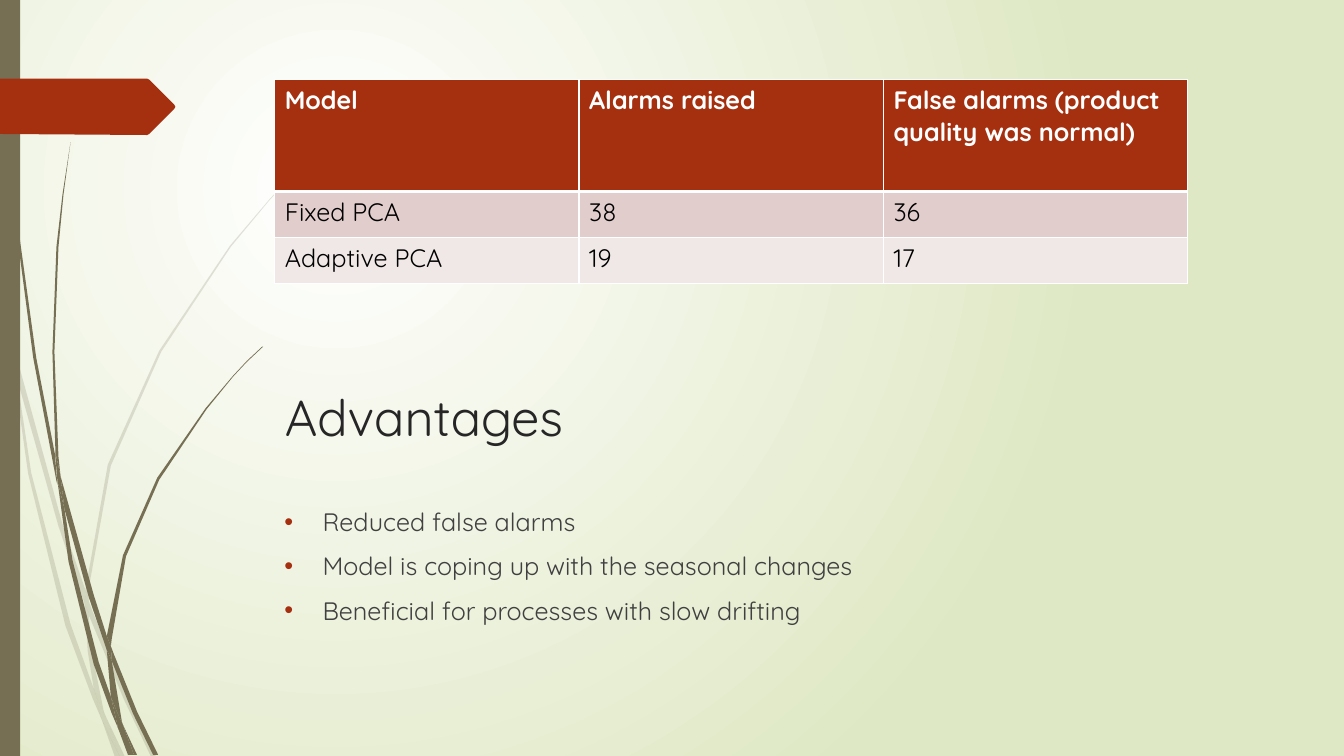
from typing import NamedTuple

from lxml import etree
from pptx import Presentation
from pptx.dml.color import RGBColor
from pptx.enum.shapes import MSO_SHAPE
from pptx.enum.text import MSO_ANCHOR, MSO_AUTO_SIZE, PP_ALIGN
from pptx.oxml.ns import qn
from pptx.util import Inches, Pt

RECT = MSO_SHAPE.RECTANGLE
TOP, LEFT, NO_FIT = MSO_ANCHOR.TOP, PP_ALIGN.LEFT, MSO_AUTO_SIZE.NONE

# Fine grid: one cell is a hundredth of an inch
COLS, ROWS = 1333.33, 750
CELL = Inches(1) // 100
FONT = "Quicksand"
COLORS = {
    "white": "FFFFFF", "black": "000000", "edge": "DFE8C4", "olive": "766F54",
    "rust": "A53010", "title": "262626", "body": "404040",
    "band1": "E1CDCC", "band2": "F0E8E7",
}


class Box(NamedTuple):
    """Position and size in grid columns and rows."""
    x: float
    y: float
    w: float
    h: float


class Outline(NamedTuple):
    """A closed polygon with corners in grid columns and rows."""
    fill: str
    opacity: int
    corners: list[tuple[float, float]]


TITLE_BOX = Box(272.5, 378, 975, 140)
BODY_BOX = Box(272, 497.5, 975, 413)
TABLE_BOX = Box(272.5, 79, 906, 202)
ROW_HEIGHTS = [111, 45.5, 45.5]
BAR_BOX = Box(0, 0, 20, ROWS)

TITLE = "Advantages"
BULLETS = [
    "Reduced false alarms",
    "Model is coping up with the seasonal changes",
    "Beneficial for processes with slow drifting",
]
ALARMS = [
    ["Model", "Alarms raised", "False alarms (product quality was normal)"],
    ["Fixed PCA", "38", "36"],
    ["Adaptive PCA", "19", "17"],
]
ROW_FILLS = ["rust", "band1", "band2"]

FAINT_GRASS = [
    [(11, 350), (9, 322), (0, 282), (0, 299), (10, 344)],
    [(58, 522), (84, 599), (85, 586), (62, 520), (14, 345), (17, 376)],
    [(92, 607), (88, 596), (88, 610), (123, 694), (150, 751), (155, 751), (127, 692)],
    [(119, 751), (124, 751), (105, 711)],
    [(93, 683), (70, 619), (31, 469), (17, 376), (11, 350), (28, 470), (65, 621),
     (92, 693), (101, 714), (99, 707)],
    [(84, 599), (87, 646), (93, 683), (96, 692), (105, 711), (103, 706), (91, 646),
     (88, 610), (88, 608)],
    [(88, 584), (110, 462), (160, 349), (229, 245), (268, 198), (290, 175),
     (312, 154), (312, 153), (289, 175), (268, 197), (228, 244), (158, 348),
     (107, 461), (85, 584), (85, 586), (88, 596)],
    [(101, 714), (114, 751), (119, 751)],
    [(88, 608), (88, 596), (85, 586), (84, 599)],
    [(96, 692), (93, 683), (99, 707), (101, 714), (119, 751), (105, 711)],
]
DARK_GRASS = [
    [(7, 110), (17, 233), (33, 355), (56, 477), (57, 481), (55, 457), (55, 453),
     (36, 355), (19, 232), (8, 109), (5, 48), (4, 0), (3, 0), (4, 48)],
    [(88, 592), (106, 645), (106, 631), (93, 590), (60, 472), (64, 505)],
    [(113, 649), (110, 641), (111, 656), (132, 708), (152, 749), (157, 749), (136, 706)],
    [(110, 691), (98, 657), (72, 556), (64, 505), (57, 477), (68, 557), (93, 659),
     (111, 708), (117, 722), (116, 717)],
    [(60, 472), (58, 453), (54, 349), (58, 245), (63, 193), (70, 141), (62, 193),
     (56, 245), (52, 349), (55, 449)],
    [(133, 749), (136, 749), (122, 719)],
    [(57, 477), (64, 505), (60, 472), (55, 449), (55, 453)],
    [(111, 633), (125, 552), (158, 476), (205, 406), (231, 374), (245, 359),
     (261, 344), (260, 344), (245, 358), (231, 373), (204, 405), (156, 474),
     (122, 551), (106, 631), (110, 641)],
    [(117, 722), (127, 749), (131, 749)],
    [(106, 645), (110, 691), (116, 706), (122, 719), (121, 716), (111, 656), (109, 651)],
    [(106, 645), (109, 651), (111, 656), (110, 641), (106, 631)],
    [(116, 706), (110, 691), (116, 717), (117, 722), (130, 749), (133, 749), (122, 719)],
]
ARROW = Outline("rust", 100, [(173, 108), (148, 133), (146, 134), (0, 133), (0, 78),
                              (146, 78), (148, 79), (173, 104), (174, 106)])
GRASS = [Outline("olive", opacity, corners)
         for opacity, blades in ((20, FAINT_GRASS), (100, DARK_GRASS))
         for corners in blades]


def emu(cells: float) -> int:
    return round(cells * CELL)


def color(name: str) -> RGBColor:
    return RGBColor.from_string(COLORS[name])


def sub(parent, tag: str, **attrs: str):
    return etree.SubElement(parent, qn(tag), attrs)


def write(p, text: str, *, size: float, fill: str, bold: bool = False) -> None:
    p.alignment = LEFT
    r = p.add_run()
    r.text = text
    r.font.name, r.font.size, r.font.bold = FONT, Pt(size), bold
    r.font.color.rgb = color(fill)


def paint(sp, fill: str, opacity: int = 100) -> None:
    sp.shadow.inherit = False
    sp.fill.solid()
    sp.fill.fore_color.rgb = color(fill)
    sp.line.fill.background()
    if opacity < 100:
        rgb = sp.element.spPr.find(qn("a:solidFill")).find(qn("a:srgbClr"))
        sub(rgb, "a:alpha", val=str(opacity * 1000))


def add_background(s) -> None:
    fill = s.background.fill
    fill.gradient()
    for stop, name in zip(fill.gradient_stops, ["white", "edge"]):
        stop.color.rgb = color(name)
    grad = s.element.find(".//" + qn("a:gradFill"))
    grad.remove(grad.find(qn("a:lin")))
    sub(sub(grad, "a:path", path="circle"), "a:fillToRect",
        l="50000", t="50000", r="100000", b="100000")


def add_outline(s, outline: Outline) -> None:
    start, *rest = outline.corners
    builder = s.shapes.build_freeform(*start, scale=float(CELL))
    builder.add_line_segments(rest, close=True)
    paint(builder.convert_to_shape(), outline.fill, outline.opacity)


def fill_placeholder(sp, box: Box, lines: list[str], *, bullet: str = "", **fmt) -> None:
    sp.left, sp.top, sp.width, sp.height = map(emu, box)
    tf = sp.text_frame
    tf.word_wrap, tf.auto_size, tf.vertical_anchor = True, NO_FIT, TOP
    for i, line in enumerate(lines):
        p = tf.add_paragraph() if i else tf.paragraphs[0]
        write(p, line, **fmt)
        if bullet:
            p.space_before = Pt(10)
            pPr = p._p.get_or_add_pPr()
            pPr.set("marL", str(Inches(0.38)))
            pPr.set("indent", str(-Inches(0.38)))
            sub(sub(pPr, "a:buClr"), "a:srgbClr", val=COLORS["rust"])
            sub(pPr, "a:buFont", typeface="Arial")
            sub(pPr, "a:buChar", char=bullet)


def add_borders(cell, **widths: float) -> None:
    tcPr = cell._tc.get_or_add_tcPr()
    for i, (side, width) in enumerate(widths.items()):
        ln = etree.Element(qn(f"a:ln{side}"), {"w": str(Pt(width))})
        sub(sub(ln, "a:solidFill"), "a:srgbClr", val=COLORS["white"])
        tcPr.insert(i, ln)


def add_alarm_table(s) -> None:
    table = s.shapes.add_table(len(ALARMS), len(ALARMS[0]), *map(emu, TABLE_BOX)).table
    for i, (values, height, fill) in enumerate(zip(ALARMS, ROW_HEIGHTS, ROW_FILLS)):
        table.rows[i].height = emu(height)
        header = i == 0
        for j, value in enumerate(values):
            cell = table.cell(i, j)
            cell.fill.solid()
            cell.fill.fore_color.rgb = color(fill)
            write(cell.text_frame.paragraphs[0], value, size=18, bold=header,
                  fill="white" if header else "black")
            add_borders(cell, L=1, R=1, T=3 if i == 1 else 1, B=3 if header else 1)


def main() -> None:
    prs = Presentation()
    prs.slide_width, prs.slide_height = emu(COLS), emu(ROWS)
    s = prs.slides.add_slide(prs.slide_layouts[1])
    add_background(s)
    for blade in GRASS:
        add_outline(s, blade)
    paint(s.shapes.add_shape(RECT, *map(emu, BAR_BOX)), "olive")
    add_outline(s, ARROW)
    fill_placeholder(s.shapes.title, TITLE_BOX, [TITLE], size=36, fill="title")
    fill_placeholder(s.placeholders[1], BODY_BOX, BULLETS, bullet="•", size=18, fill="body")
    add_alarm_table(s)
    prs.save("out.pptx")


if __name__ == "__main__":
    main()
